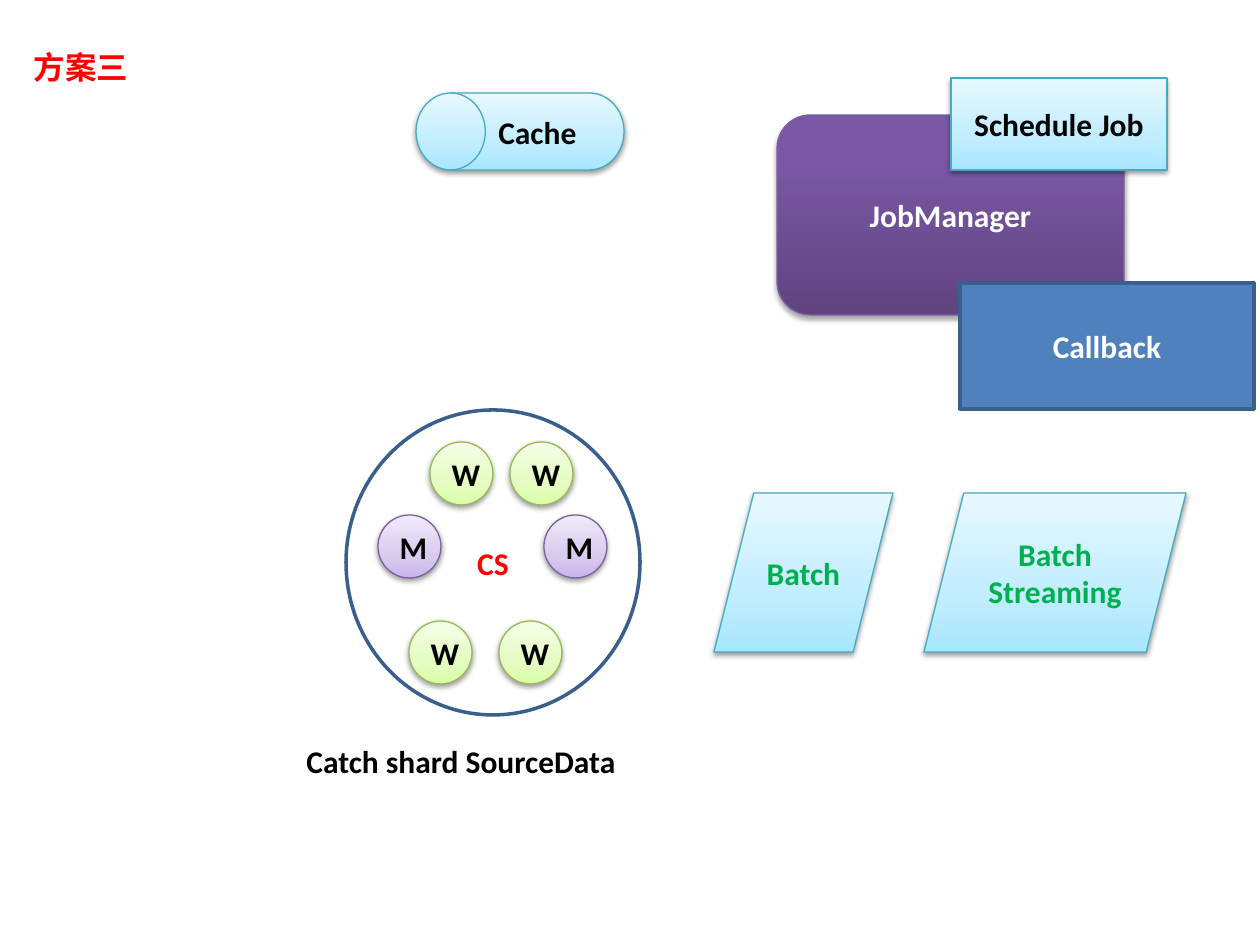
from lxml import etree
from pptx import Presentation
from pptx import util as u
from pptx.dml.color import RGBColor
from pptx.enum import shapes, text
from pptx.oxml.ns import qn

PX = u.Inches(1) / 126
FONT = "Calibri"
FONT_SIZE = u.Pt(18)

BLACK = RGBColor(0x00, 0x00, 0x00)
WHITE = RGBColor(0xFF, 0xFF, 0xFF)
RED = RGBColor(0xFF, 0x00, 0x00)
GREEN = RGBColor(0x00, 0xB0, 0x50)
BLUE = RGBColor(0x4F, 0x81, 0xBD)
NAVY = RGBColor(0x3A, 0x5F, 0x8C)
TEAL = RGBColor(0x46, 0xAA, 0xC5)
PURPLE = RGBColor(0x7D, 0x60, 0xA0)
OLIVE = RGBColor(0x98, 0xB9, 0x55)


def gradient(positions, *colors):
    return list(zip(positions, map(RGBColor.from_string, colors)))


SOFT = (0, 35, 100)
STYLES = {
    "deep": dict(fill=gradient((0, 80, 100), "5F4480", "7B58A6", "7C57A8"),
                 line=PURPLE, width=0.75, shadow=(35, 1.8)),
    "aqua": dict(fill=gradient(SOFT, "A7E6FF", "C1EDFF", "E7F8FF"),
                 line=TEAL, width=0.75, shadow=(38, 1.6)),
    "lilac": dict(fill=gradient(SOFT, "C9B5E8", "D8CBEE", "F0EAF9"),
                  line=PURPLE, width=0.75, shadow=(38, 1.6)),
    "lime": dict(fill=gradient(SOFT, "DAFDA7", "E4FCC2", "F5FFE7"),
                 line=OLIVE, width=0.75, shadow=(38, 1.6)),
    "solid": dict(fill=BLUE, line=NAVY, width=2, shadow=None),
    "ring": dict(fill=None, line=NAVY, width=2, shadow=None),
}

KIND = shapes.MSO_SHAPE
TITLE = ("方案三", (21, 42, 305, 50), RED)
CAPTION = ("Catch shard SourceData", (294, 736, 399, 50), BLACK)
BLOCKS = [
    ("JobManager", KIND.ROUNDED_RECTANGLE, (777, 115, 347, 200), "deep", WHITE),
    ("Schedule Job", KIND.RECTANGLE, (951, 78, 216, 92), "aqua", BLACK),
    ("CS", KIND.OVAL, (346, 410, 294, 305), "ring", RED),
    ("Callback", KIND.RECTANGLE, (960, 283, 294, 126), "solid", WHITE),
    ("Batch", KIND.PARALLELOGRAM, (714, 493, 179, 159), "aqua", GREEN),
    ("Batch\nStreaming", KIND.PARALLELOGRAM, (924, 493, 262, 159), "aqua", GREEN),
]
DRUM = ("Cache", KIND.FLOWCHART_DIRECT_ACCESS_STORAGE, (416, 93, 208, 77), "aqua", BLACK)
NODE_SIZE = 63
NODE_STYLES = {"W": "lime", "M": "lilac"}
NODES = [("W", 430, 442), ("W", 510, 442), ("M", 378, 515),
         ("M", 544, 515), ("W", 409, 621), ("W", 499, 621)]


def emu(box):
    return [u.Emu(round(value * PX)) for value in box]


def write(shape, words, color, alignment, anchor):
    frame = shape.text_frame
    frame.text = words
    frame.word_wrap = True
    frame.vertical_anchor = anchor
    for paragraph in frame.paragraphs:
        paragraph.alignment = alignment
        font = paragraph.font
        font.name, font.size, font.bold = FONT, FONT_SIZE, True
        font.color.rgb = color


def color_element(parent, color):
    return etree.SubElement(parent, qn("a:srgbClr"), val=str(color))


def paint(shape, fill, line, width, shadow):
    properties = shape._element.spPr
    if fill is None:
        shape.fill.background()
    elif isinstance(fill, RGBColor):
        shape.fill.solid()
        shape.fill.fore_color.rgb = fill
    else:
        shape.fill.gradient()
        shape.fill.gradient_angle = 90
        stops = properties.find(".//" + qn("a:gsLst"))
        for stop in list(stops):
            stops.remove(stop)
        for position, color in fill:
            color_element(etree.SubElement(stops, qn("a:gs"), pos=str(position * 1000)), color)
    shape.line.color.rgb = line
    shape.line.width = u.Pt(width)
    shape.shadow.inherit = False
    if shadow:
        opacity, distance = shadow
        outer = etree.SubElement(
            properties.find(qn("a:effectLst")), qn("a:outerShdw"),
            blurRad=str(u.Pt(3.1)), dist=str(u.Pt(distance)), dir="5400000", rotWithShape="0")
        etree.SubElement(color_element(outer, BLACK), qn("a:alpha"), val=str(opacity * 1000))


def add_block(slide, words, kind, box, style, color):
    shape = slide.shapes.add_shape(kind, *emu(box))
    paint(shape, **STYLES[style])
    write(shape, words, color, text.PP_ALIGN.CENTER, text.MSO_ANCHOR.MIDDLE)
    return shape


def add_label(shape, words, box, color):
    shape.left, shape.top, shape.width, shape.height = emu(box)
    write(shape, words, color, text.PP_ALIGN.LEFT, text.MSO_ANCHOR.TOP)


def main():
    presentation = Presentation()
    presentation.slide_width, presentation.slide_height = u.Inches(10), u.Inches(7.5)
    slide = presentation.slides.add_slide(presentation.slide_layouts[5])
    add_label(slide.shapes.title, *TITLE)
    for block in BLOCKS:
        add_block(slide, *block)
    drum = add_block(slide, *DRUM)
    drum.rotation = 180
    drum._element.spPr.find(qn("a:xfrm")).set("flipV", "1")
    for letter, left, top in NODES:
        add_block(slide, letter, KIND.FLOWCHART_CONNECTOR,
                  (left, top, NODE_SIZE, NODE_SIZE), NODE_STYLES[letter], BLACK)
    add_label(slide.shapes.add_textbox(0, 0, 0, 0), *CAPTION)
    presentation.save("out.pptx")


if __name__ == "__main__":
    main()
